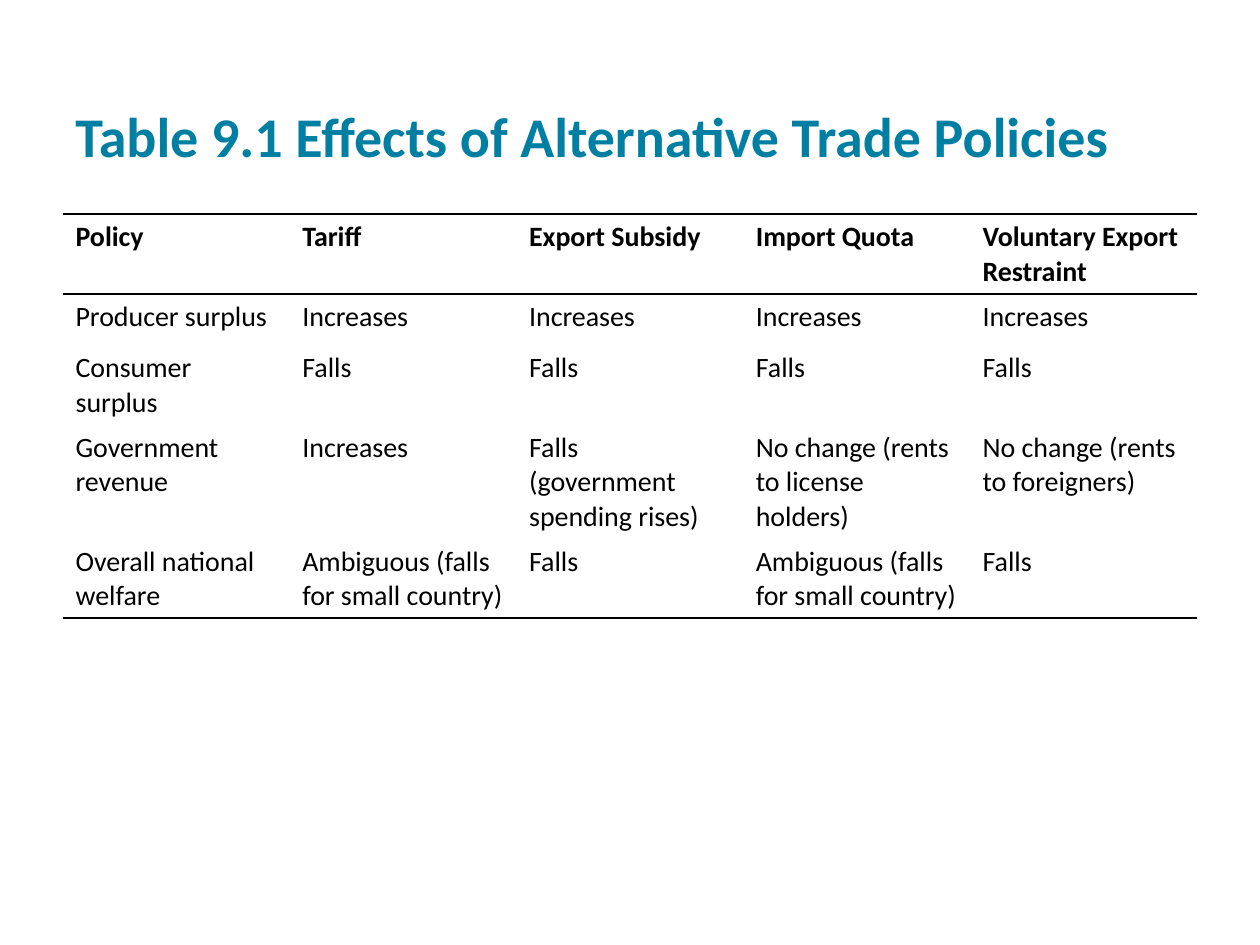
"""Build the slide that compares the effects of four trade policies."""
from lxml import etree
from pptx import Presentation, util as u
from pptx.dml.color import RGBColor
from pptx.enum import text
from pptx.oxml import ns

PX = 914400 // 126
TEAL = RGBColor(0x00, 0x7F, 0xA3)
BLACK = RGBColor(0, 0, 0)
WHITE = RGBColor(255, 255, 255)
ROWS = [
    ["Policy", "Tariff", "Export Subsidy", "Import Quota", "Voluntary Export Restraint"],
    ["Producer surplus"] + ["Increases"] * 4,
    ["Consumer surplus"] + ["Falls"] * 4,
    ["Government revenue", "Increases", "Falls (government spending rises)",
     "No change (rents to license holders)", "No change (rents to foreigners)"],
    ["Overall national welfare", "Ambiguous (falls for small country)", "Falls",
     "Ambiguous (falls for small country)", "Falls"],
]


def write(frame, words, size=16, color=BLACK, bold=False):
    frame.word_wrap = True
    par = frame.paragraphs[0]
    run = par.add_run()
    run.text = words
    run.font.name = "Calibri"
    run.font.size = u.Pt(size)
    run.font.bold = bold
    run.font.color.rgb = color


def rule(cell, sides):
    props = cell._tc.get_or_add_tcPr()
    for spot, side in enumerate("LRTB"):
        line = etree.Element(ns.qn(f"a:ln{side}"), w=str(u.Pt(1)))
        if side in sides:
            fill = etree.SubElement(line, ns.qn("a:solidFill"))
            etree.SubElement(fill, ns.qn("a:srgbClr"), val=str(BLACK))
        else:
            etree.SubElement(line, ns.qn("a:noFill"))
        props.insert(spot, line)


deck = Presentation()
deck.slide_width = 1260 * PX
deck.slide_height = 945 * PX
slide = deck.slides.add_slide(deck.slide_layouts[6])

title = slide.shapes.add_textbox(63 * PX, 30 * PX, 1134 * PX, 151 * PX).text_frame
title.vertical_anchor = text.MSO_ANCHOR.BOTTOM
title.margin_left = title.margin_right = u.Inches(0.1)
title.margin_top = title.margin_bottom = u.Inches(0.1)
write(title, "Table 9.1 Effects of Alternative Trade Policies", size=32, color=TEAL, bold=True)

table = slide.shapes.add_table(
    len(ROWS), len(ROWS[0]), 63 * PX, 214 * PX, 1134 * PX, 255 * PX).table
table.first_row = False
table.horz_banding = False
edges = {0: "TB", 1: "T", len(ROWS) - 1: "B"}
for r, row in enumerate(ROWS):
    for c, words in enumerate(row):
        cell = table.cell(r, c)
        cell.fill.solid()
        cell.fill.fore_color.rgb = WHITE
        rule(cell, edges.get(r, ""))
        write(cell.text_frame, words, bold=r == 0)

deck.save("out.pptx")
